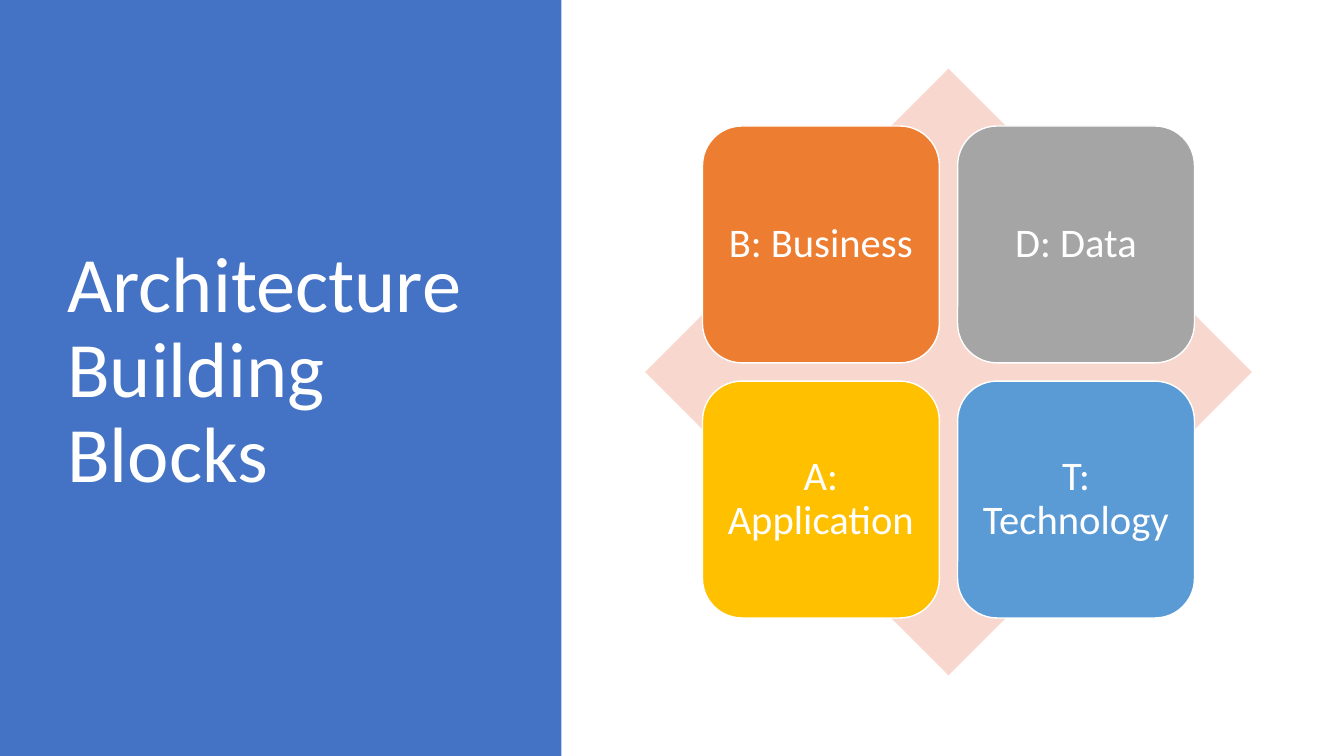
"""Build the Architecture Building Blocks slide."""
from dataclasses import dataclass

from pptx import Presentation
from pptx.dml.color import RGBColor
from pptx.enum.shapes import MSO_SHAPE
from pptx.enum.text import MSO_ANCHOR, PP_ALIGN
from pptx.shapes.autoshape import Shape
from pptx.slide import Slide
from pptx.text.text import TextFrame
from pptx.util import Pt

RECT = MSO_SHAPE.RECTANGLE
ROUND = MSO_SHAPE.ROUNDED_RECTANGLE
DIAMOND = MSO_SHAPE.DIAMOND
MIDDLE = MSO_ANCHOR.MIDDLE
LEFT = PP_ALIGN.LEFT
CENTER = PP_ALIGN.CENTER

WHITE = RGBColor(0xFF, 0xFF, 0xFF)
BLUE = RGBColor(0x44, 0x72, 0xC4)
PINK = RGBColor(0xF8, 0xD7, 0xCE)
ORANGE = RGBColor(0xED, 0x7D, 0x31)
GRAY = RGBColor(0xA5, 0xA5, 0xA5)
GOLD = RGBColor(0xFF, 0xC0, 0x00)
SKY = RGBColor(0x5B, 0x9B, 0xD5)

FONT = "Calibri"
GRID_X, GRID_Y = 501.8, 90
SIDE, STEP = 169.2, 182.2
INSET = 8.64


@dataclass
class Block:
    """A labelled block and its place in the grid."""
    label: str
    color: RGBColor
    col: int
    row: int


BLOCKS = [
    Block("B: Business", ORANGE, 0, 0),
    Block("D: Data", GRAY, 1, 0),
    Block("A: Application", GOLD, 0, 1),
    Block("T: Technology", SKY, 1, 1),
]


def add_shape(slide: Slide, kind: MSO_SHAPE, x: float, y: float,
              width: float, height: float, color: RGBColor) -> Shape:
    """Add a flat filled shape without outline."""
    shape = slide.shapes.add_shape(kind, Pt(x), Pt(y), Pt(width), Pt(height))
    shape.shadow.inherit = False
    shape.fill.solid()
    shape.fill.fore_color.rgb = color
    shape.line.fill.background()
    return shape


def write(frame: TextFrame, text: str, size: float, align: PP_ALIGN) -> None:
    """Set white, wrapped, vertically centred text."""
    frame.word_wrap = True
    frame.vertical_anchor = MIDDLE
    para = frame.paragraphs[0]
    para.text = text
    para.alignment = align
    para.line_spacing = 0.9
    para.font.name = FONT
    para.font.size = Pt(size)
    para.font.color.rgb = WHITE


def add_block(slide: Slide, block: Block) -> None:
    """Add one rounded block with its label."""
    shape = add_shape(slide, ROUND, GRID_X + block.col * STEP,
                      GRID_Y + block.row * STEP, SIDE, SIDE, block.color)
    shape.line.color.rgb = WHITE
    shape.line.width = Pt(1)
    frame = shape.text_frame
    frame.margin_left = frame.margin_right = Pt(INSET)
    frame.margin_top = frame.margin_bottom = Pt(INSET)
    write(frame, block.label, 29, CENTER)


def main() -> None:
    """Draw the slide and save it."""
    deck = Presentation()
    deck.slide_width, deck.slide_height = Pt(960), Pt(540)
    slide = deck.slides.add_slide(deck.slide_layouts[6])
    add_shape(slide, RECT, 0, 0, 401, 540, BLUE)
    title = slide.shapes.add_textbox(Pt(41), Pt(49), Pt(299.5), Pt(433.4))
    write(title.text_frame, "Architecture Building Blocks", 56, LEFT)
    add_shape(slide, DIAMOND, 460.8, 49, 433.4, 433.4, PINK)
    for block in BLOCKS:
        add_block(slide, block)
    deck.save("out.pptx")


if __name__ == "__main__":
    main()
